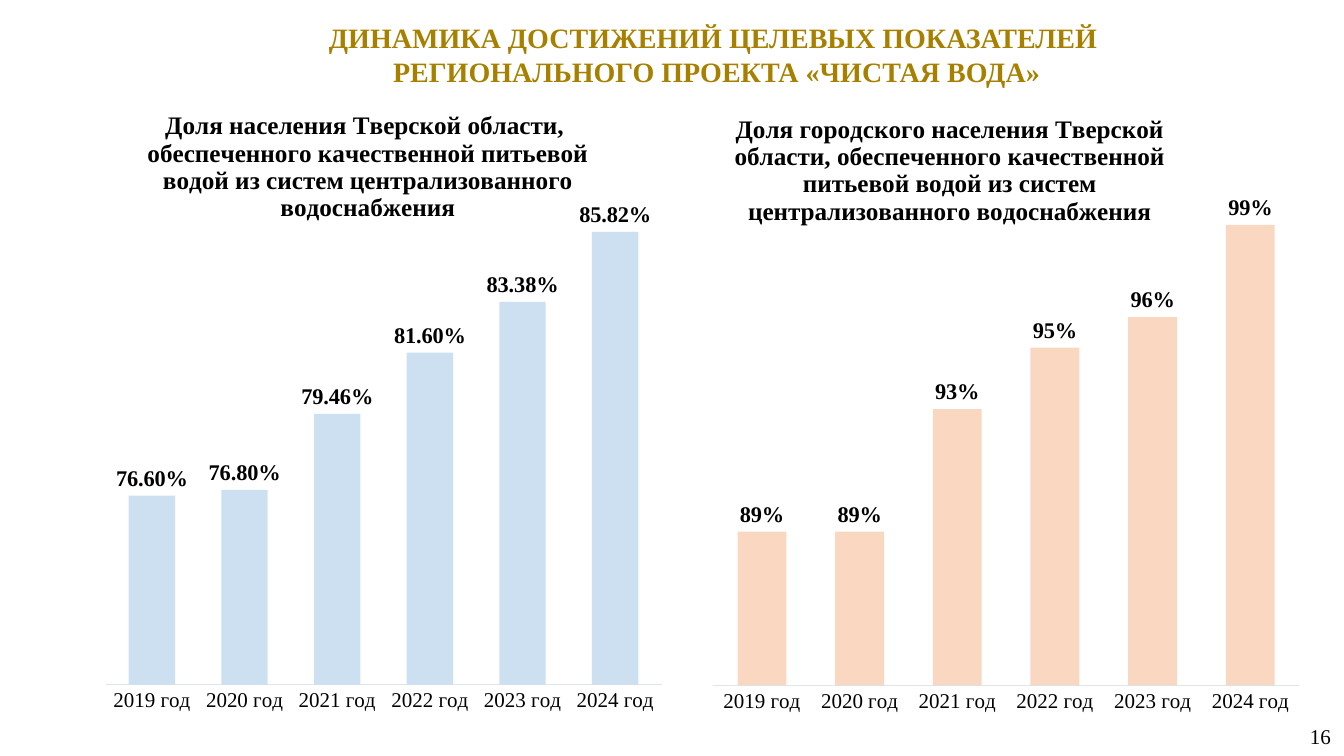
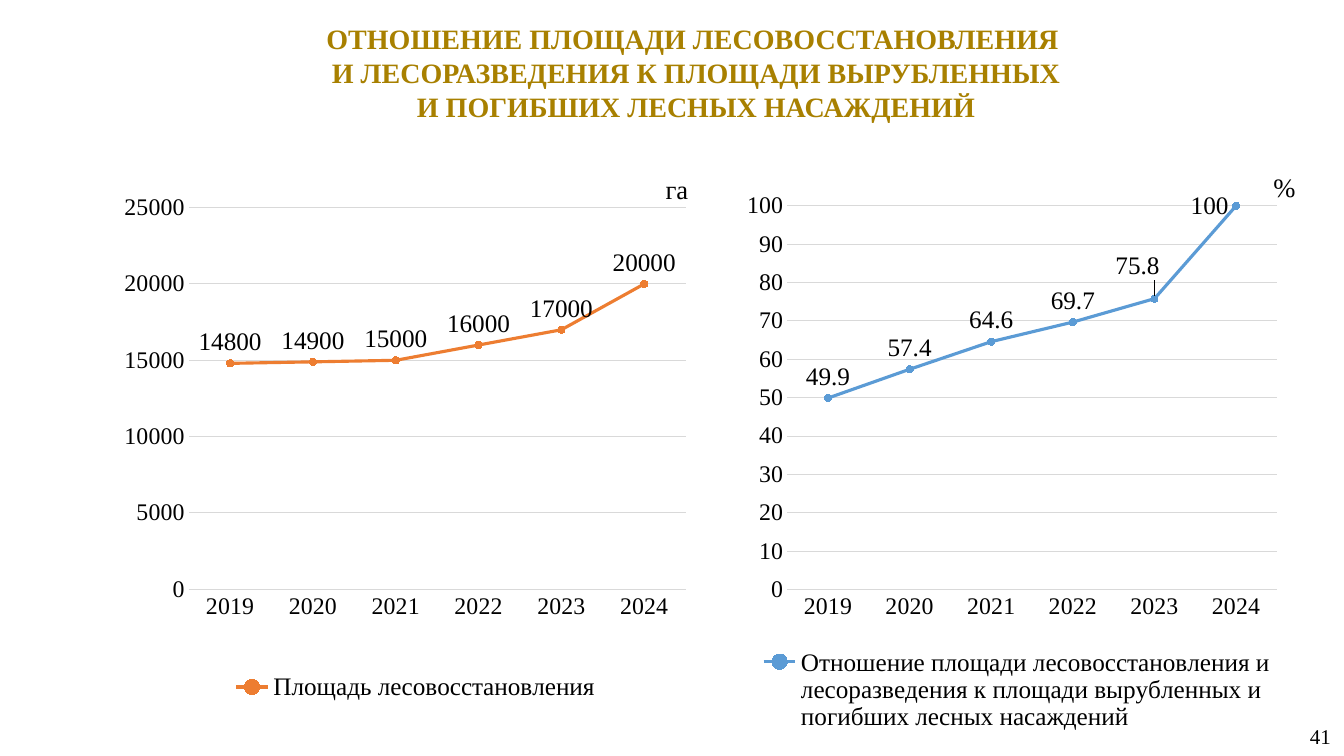
from dataclasses import dataclass
from typing import NamedTuple

from lxml.etree import SubElement
from pptx import Presentation
from pptx.chart.chart import Chart
from pptx.chart.data import CategoryChartData
from pptx.dml.color import RGBColor
from pptx.enum.chart import (XL_CHART_TYPE, XL_LABEL_POSITION, XL_LEGEND_POSITION,
                             XL_MARKER_STYLE, XL_TICK_MARK)
from pptx.enum.text import MSO_ANCHOR, MSO_AUTO_SIZE, PP_ALIGN
from pptx.oxml import parse_xml
from pptx.oxml.ns import nsdecls, qn
from pptx.slide import Slide
from pptx.util import Pt

FONT = "Times New Roman"
GOLD = RGBColor(0xA8, 0x80, 0x00)
BLACK = RGBColor(0x00, 0x00, 0x00)
SKY = RGBColor(0x9D, 0xC3, 0xE6)
PEACH = RGBColor(0xF4, 0xB1, 0x83)
ORANGE = RGBColor(0xED, 0x7D, 0x31)
BLUE = RGBColor(0x5B, 0x9B, 0xD5)
PALE = RGBColor(0xE0, 0xE5, 0xEB)
GREY = RGBColor(0xD9, 0xD9, 0xD9)
YEARS = [str(year) for year in range(2019, 2025)]


class Box(NamedTuple):
    """Place and size in points."""
    left: float
    top: float
    width: float
    height: float


class Part(NamedTuple):
    """Place, and size if given, as shares of the chart."""
    x: float
    y: float
    w: float = 0
    h: float = 0


class Scale(NamedTuple):
    low: float
    high: float
    step: float


@dataclass
class Graph:
    box: Box
    name: str
    vals: list[float]
    color: RGBColor
    plot: Part
    scale: Scale


@dataclass
class Bars(Graph):
    title: str
    head: Part
    form: str


@dataclass
class Trend(Graph):
    key: Part


NUMBER = Box(925.9, 511.2, 34.6, 28.8)

BARS = [
    Bars(Box(60.5, 69.1, 427, 457.2), "Series 1",
         [0.766, 0.768, 0.7946, 0.816, 0.8338, 0.8582], SKY,
         Part(0.035, 0.114, 0.93, 0.804), Scale(0.7, 0.88, 0.02),
         "Доля населения Тверской области, \nобеспеченного качественной питьевой "
         "водой из систем централизованного водоснабжения",
         Part(0.1, 0.017), "0.00%"),
    Bars(Box(494.6, 69.8, 447.8, 457.2), "Series 1",
         [0.89, 0.89, 0.93, 0.95, 0.96, 0.99], PEACH,
         Part(0.033, 0.151, 0.935, 0.767), Scale(0.84, 1, 0.02),
         "Доля городского населения Тверской области, обеспеченного качественной "
         "питьевой водой из систем централизованного водоснабжения",
         Part(0.06, 0.017), "0%"),
]

AREA = Trend(Box(76.3, 133.9, 424.1, 401), "Площадь лесовосстановления",
             [14800, 14900, 15000, 16000, 17000, 20000], ORANGE,
             Part(0.138, 0.036, 0.837, 0.68), Scale(0, 25000, 5000),
             Part(0.2, 0.86, 0.64, 0.06))
RATIO = Trend(Box(519.1, 133.9, 403.9, 398.9),
              "Отношение площади лесовосстановления и лесоразведения "
              "к площади вырубленных и погибших лесных насаждений",
              [49.9, 57.4, 64.6, 69.7, 75.8, 100], BLUE,
              Part(0.107, 0.033, 0.866, 0.687), Scale(0, 100, 10),
              Part(0.053, 0.82, 0.92, 0.16))


def style(font, size: float, color: RGBColor = BLACK, bold: bool = False) -> None:
    font.name = FONT
    font.size = Pt(size)
    font.bold = bold
    font.color.rgb = color


def add_text(slide: Slide, box: Box, text: str, size: float,
             color: RGBColor = BLACK, bold: bool = False,
             align: PP_ALIGN = PP_ALIGN.LEFT, pad: float = 9.6):
    frame = slide.shapes.add_textbox(*map(Pt, box)).text_frame
    frame.word_wrap = True
    frame.margin_left = frame.margin_right = Pt(pad)
    frame.margin_top = frame.margin_bottom = Pt(pad / 2)
    frame.text = text
    for para in frame.paragraphs:
        para.alignment = align
        for run in para.runs:
            style(run.font, size, color, bold)
    return frame


def add_title(slide: Slide, box: Box, text: str) -> None:
    frame = add_text(slide, box, text, 20, GOLD, True, PP_ALIGN.CENTER)
    frame.auto_size = MSO_AUTO_SIZE.SHAPE_TO_FIT_TEXT


def add_number(slide: Slide, number: int) -> None:
    frame = add_text(slide, NUMBER, str(number), 15, align=PP_ALIGN.CENTER, pad=7.2)
    frame.vertical_anchor = MSO_ANCHOR.MIDDLE


def set_place(node, part: Part, index: int = 1, edge: bool = True,
              inner: bool = False) -> None:
    """Give a chart element a manual layout as its child at the index."""
    for old in node.findall(qn("c:layout")):
        node.remove(old)
    layout = parse_xml(f"<c:layout {nsdecls('c')}><c:manualLayout/></c:layout>")
    manual = layout[0]
    if inner:
        SubElement(manual, qn("c:layoutTarget")).set("val", "inner")
    if edge:
        for mode in ("xMode", "yMode"):
            SubElement(manual, qn(f"c:{mode}")).set("val", "edge")
    for name, share in part._asdict().items():
        if name in "xy" or share:
            SubElement(manual, qn(f"c:{name}")).set("val", str(share))
    node.insert(index, layout)


def add_graph(slide: Slide, graph: Graph, kind: XL_CHART_TYPE, cats: list[str],
              tick: float, line: RGBColor) -> Chart:
    """Add a chart with the parts that bars and trends share."""
    data = CategoryChartData()
    data.categories = cats
    data.add_series(graph.name, graph.vals)
    chart = slide.shapes.add_chart(kind, *map(Pt, graph.box), data).chart
    style(chart.font, 14)
    chart.has_legend = False
    chart.has_title = False
    chart.plots[0].vary_by_categories = False
    for axis in (chart.category_axis, chart.value_axis):
        axis.major_tick_mark = axis.minor_tick_mark = XL_TICK_MARK.NONE
        style(axis.tick_labels.font, tick)
    base = chart.category_axis.format.line
    base.color.rgb = line
    base.width = Pt(0.75)
    axis = chart.value_axis
    axis.minimum_scale, axis.maximum_scale, axis.major_unit = graph.scale
    area = chart.plots[0]._element.getparent()
    set_place(area, graph.plot, index=0, inner=True)
    return chart


def add_bars(slide: Slide, bars: Bars) -> None:
    cats = [f"{year} год" for year in YEARS]
    chart = add_graph(slide, bars, XL_CHART_TYPE.COLUMN_CLUSTERED, cats, 15, PALE)
    chart.value_axis.has_major_gridlines = False
    chart.value_axis.visible = False
    plot = chart.plots[0]
    plot.gap_width = 100
    plot.overlap = -24

    frame = chart.chart_title.text_frame
    frame.text = bars.title
    for para in frame.paragraphs:
        for run in para.runs:
            style(run.font, 18, bold=True)
    set_place(chart.chart_title._element, bars.head)

    series = plot.series[0]
    fill = series.format.fill
    fill.solid()
    fill.fore_color.rgb = bars.color
    tint = series._element.find(f".//{qn('a:srgbClr')}")
    SubElement(tint, qn("a:alpha")).set("val", "50000")
    labels = series.data_labels
    labels.show_value = True
    labels.position = XL_LABEL_POSITION.OUTSIDE_END
    labels.number_format = bars.form
    labels.number_format_is_linked = False
    style(labels.font, 16, bold=True)


def add_trend(slide: Slide, trend: Trend) -> Chart:
    chart = add_graph(slide, trend, XL_CHART_TYPE.LINE_MARKERS, YEARS, 17, GREY)
    axis = chart.value_axis
    axis.format.line.fill.background()
    grid = axis.major_gridlines.format.line
    grid.color.rgb = GREY
    grid.width = Pt(0.75)

    chart.has_legend = True
    legend = chart.legend
    legend.position = XL_LEGEND_POSITION.BOTTOM
    legend.include_in_layout = False
    style(legend.font, 18)
    set_place(legend._element, trend.key)

    series = chart.plots[0].series[0]
    series.smooth = False
    series.format.line.color.rgb = trend.color
    series.format.line.width = Pt(2.25)
    mark = series.marker
    mark.style = XL_MARKER_STYLE.CIRCLE
    mark.size = 5
    mark.format.fill.solid()
    mark.format.fill.fore_color.rgb = trend.color
    mark.format.line.color.rgb = trend.color
    labels = series.data_labels
    labels.show_value = True
    labels.position = XL_LABEL_POSITION.ABOVE
    style(labels.font, 18)
    return chart


def move_label(chart: Chart, index: int, side: XL_LABEL_POSITION,
               shift: Part | None = None) -> None:
    """Put one point's label on another side, or shift it."""
    series = chart.plots[0].series[0]
    label = series.points[index].data_label
    style(label.font, 18)
    label.position = side
    if shift:
        node = series.data_labels._element.find(qn("c:dLbl"))
        set_place(node, shift, edge=False)


def add_water(slide: Slide) -> None:
    add_title(slide, Box(88.5, 10, 846.7, 58.3),
              "ДИНАМИКА ДОСТИЖЕНИЙ ЦЕЛЕВЫХ ПОКАЗАТЕЛЕЙ \v"
              "РЕГИОНАЛЬНОГО ПРОЕКТА «ЧИСТАЯ ВОДА»")
    for bars in BARS:
        add_bars(slide, bars)
    add_number(slide, 16)


def add_forest(slide: Slide) -> None:
    add_title(slide, Box(79.2, 10.8, 835.9, 82.1),
              "ОТНОШЕНИЕ ПЛОЩАДИ ЛЕСОВОССТАНОВЛЕНИЯ \v"
              "И ЛЕСОРАЗВЕДЕНИЯ К ПЛОЩАДИ ВЫРУБЛЕННЫХ\v"
              "И ПОГИБШИХ ЛЕСНЫХ НАСАЖДЕНИЙ")
    add_trend(slide, AREA)
    ratio = add_trend(slide, RATIO)
    move_label(ratio, 4, XL_LABEL_POSITION.ABOVE, Part(-0.03, -0.02))
    move_label(ratio, 5, XL_LABEL_POSITION.LEFT)
    add_text(slide, Box(465.8, 118.8, 40.3, 32.4), "га", 19)
    add_text(slide, Box(900, 117.4, 40.3, 32.4), "%", 19)
    add_number(slide, 41)


def main() -> None:
    deck = Presentation()
    deck.slide_width, deck.slide_height = Pt(960), Pt(540)
    blank = deck.slide_layouts[6]
    for draw in (add_water, add_forest):
        draw(deck.slides.add_slide(blank))
    deck.save("out.pptx")


if __name__ == "__main__":
    main()
